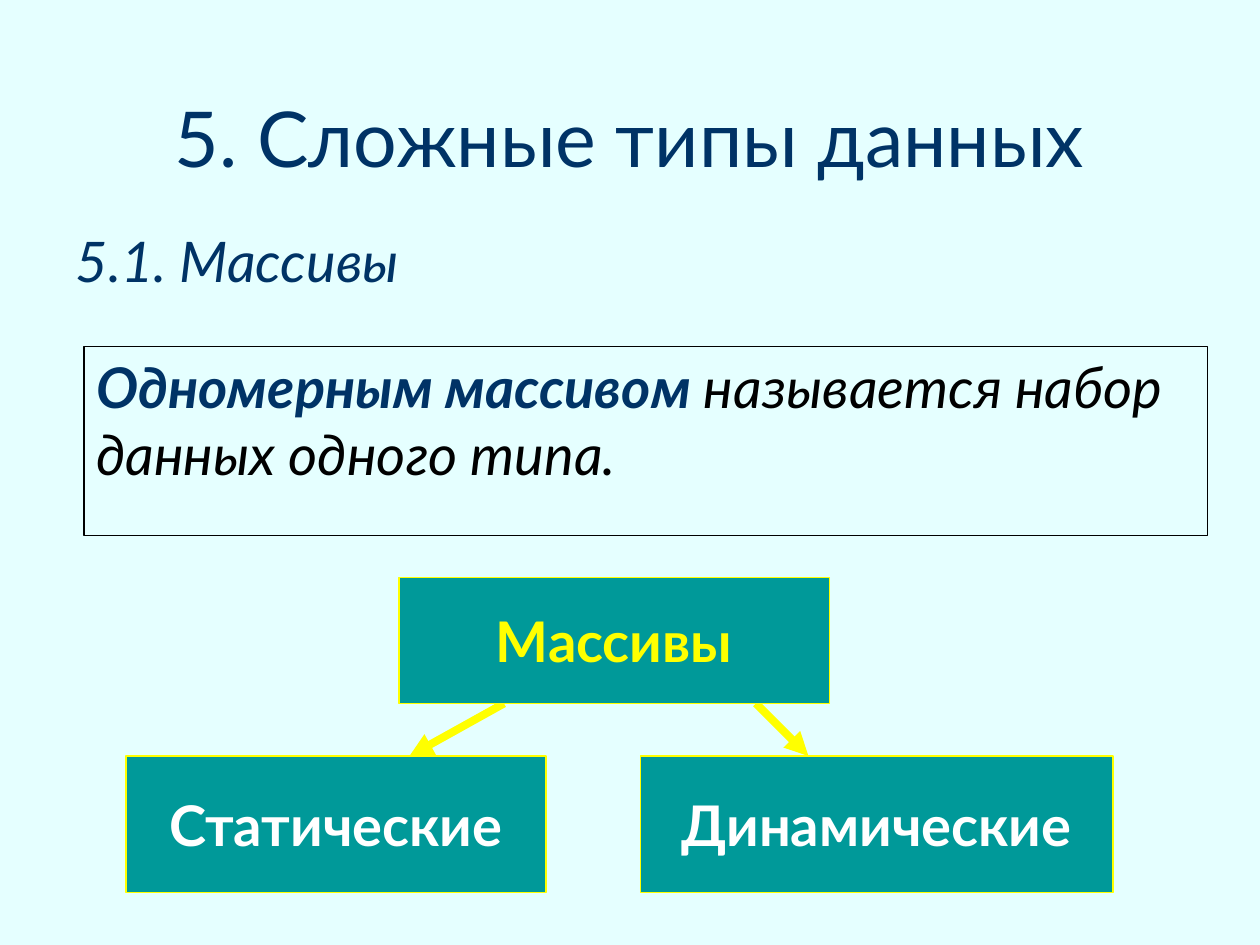
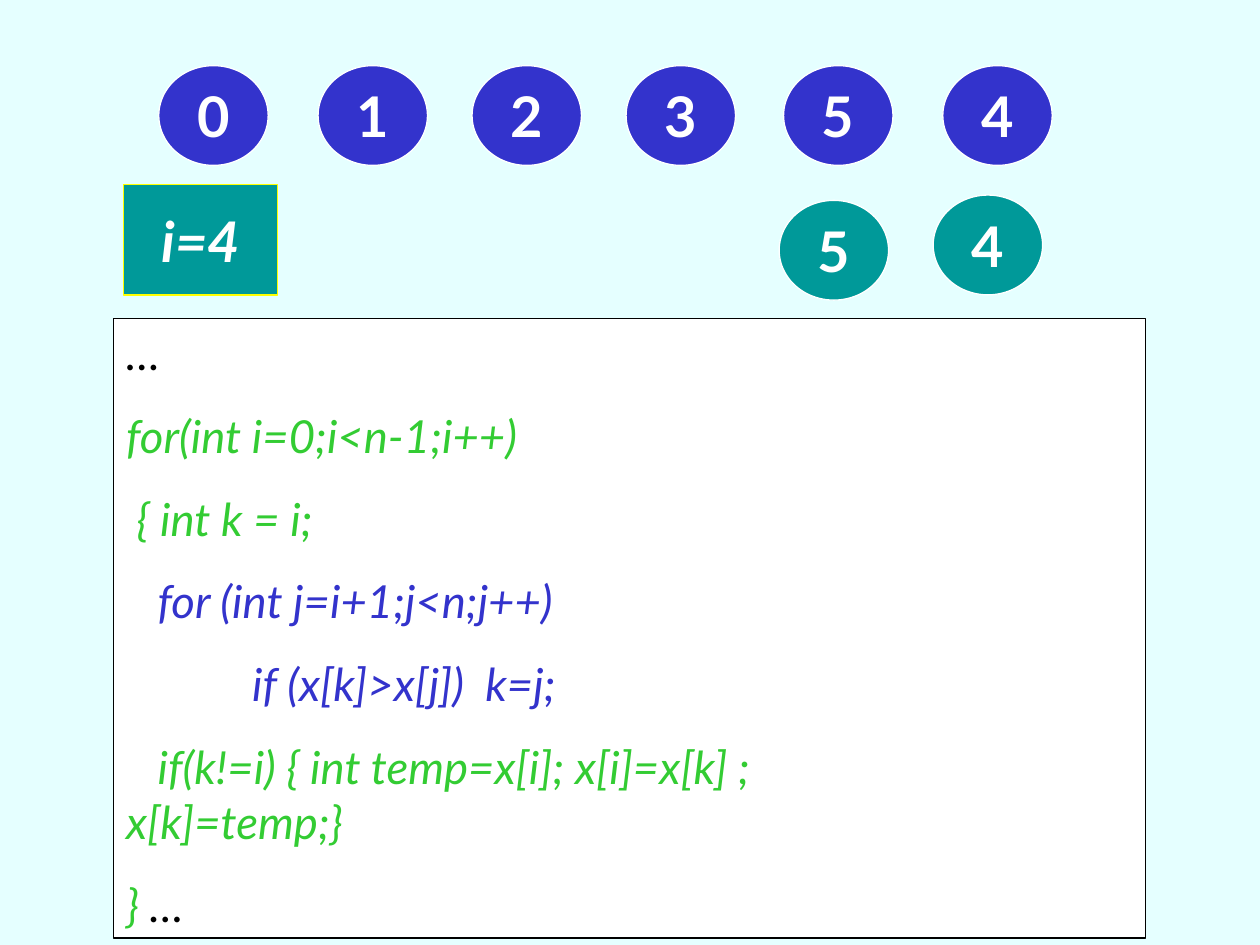
from lxml.etree import SubElement
from pptx import Presentation
from pptx.dml.color import RGBColor
from pptx.enum.shapes import MSO_CONNECTOR as Connector, MSO_SHAPE as Preset
from pptx.enum.text import MSO_ANCHOR as Anchor, MSO_AUTO_SIZE as AutoSize, PP_ALIGN as Align
from pptx.oxml.ns import qn
from pptx.util import Pt

FONT = "Lato"
PALE, NAVY, TEAL, BLUE = "E5FFFF", "003366", "009999", "3333CC"
YELLOW, GREEN, WHITE, BLACK = "FFFF00", "33CC33", "FFFFFF", "000000"


def set_color(target, color):
    """Give a font, line or fill colour from a hex string."""
    target.rgb = RGBColor.from_string(color)


def set_fill(fill, color):
    """Make a fill solid, or empty when no colour is given."""
    if color is None:
        fill.background()
    else:
        fill.solid()
        set_color(fill.fore_color, color)


def place(shape, box):
    """Move a shape to a box of left, top, width and height."""
    for name, value in zip(("left", "top", "width", "height"), box):
        setattr(shape, name, Pt(value))


def write_line(para, spans, size, before=8, align=Align.LEFT, **style):
    """Write (text, colour, extra format) spans into one paragraph."""
    para.alignment, para.space_before = align, Pt(before)
    for text, color, extra in spans:
        span = para.add_run()
        span.text = text
        formats = {"name": FONT, "size": Pt(size), **style, **extra}
        for name, value in formats.items():
            setattr(span.font, name, value)
        set_color(span.font.color, color)


def set_frame(frame, anchor, wrap):
    """Set the anchor, wrapping and fixed size of a text frame."""
    formats = {"vertical_anchor": anchor, "word_wrap": wrap, "auto_size": AutoSize.NONE}
    for name, value in formats.items():
        setattr(frame, name, value)


def add_panel(page, box, fill, line, preset=Preset.RECTANGLE, anchor=Anchor.TOP, wrap=True):
    """Add an outlined shape and return its text frame."""
    shape = page.shapes.add_shape(preset, *map(Pt, box))
    shape.shadow.inherit = False
    set_fill(shape.fill, fill)
    set_color(shape.line.color, line)
    shape.line.width = Pt(0.75)
    set_frame(shape.text_frame, anchor, wrap)
    return shape.text_frame


def add_label(page, box, text, fill=TEAL, line=YELLOW, color=WHITE,
              preset=Preset.RECTANGLE, italic=False):
    """Add a shape with one bold centred label."""
    frame = add_panel(page, box, fill, line, preset, Anchor.MIDDLE, False)
    write_line(frame.paragraphs[0], [(text, color, {})], 32,
               align=Align.CENTER, bold=True, italic=italic)


def add_arrow(page, start, end):
    """Add a thick yellow arrow."""
    arrow = page.shapes.add_connector(Connector.STRAIGHT, *map(Pt, start + end))
    set_color(arrow.line.color, YELLOW)
    arrow.line.width = Pt(4.5)
    SubElement(arrow.line._get_or_add_ln(), qn("a:tailEnd"), type="triangle")
    SubElement(arrow._element.spPr, qn("a:effectLst"))


def add_headings(page, box):
    """Fill the title and the subtitle below it."""
    left, top, width, height = box
    title, body = page.placeholders
    place(title, (left, top, width, 96))
    place(body, (left, top + 96, width, height - 96))
    set_frame(title.text_frame, Anchor.MIDDLE, True)
    set_frame(body.text_frame, Anchor.TOP, True)
    write_line(title.text_frame.paragraphs[0], [("5. Сложные типы данных", NAVY, {})],
               44, before=0, align=Align.CENTER)
    para = body.text_frame.paragraphs[0]
    write_line(para, [("5.1. Массивы", NAVY, {})], 32, italic=True)
    properties = para._p.get_or_add_pPr()
    for name in ("marL", "indent"):
        properties.set(name, "0")
    SubElement(properties, qn("a:buNone"))


def add_definition(page, box):
    """Add the framed definition of an array."""
    frame = add_panel(page, box, None, BLACK)
    write_line(frame.paragraphs[0], [
        ("Одномерным массивом ", NAVY, {"bold": True}),
        ("называется набор данных одного типа.", BLACK, {}),
    ], 32, italic=True)


def add_array_tree(page, box):
    """Add the root box, two arrows and two kinds of array."""
    left, top, width, height = box
    root_bottom, child_top = top + 72, top + 102
    child_height = height - 102
    add_arrow(page, (left + 360, root_bottom), (left + 390, child_top))
    add_arrow(page, (left + 216, root_bottom), (left + 162, child_top))
    add_label(page, (left + 156, top, 246, 72), "Массивы", color=YELLOW)
    add_label(page, (left, child_top, 240, child_height), "Статические")
    add_label(page, (left + width - 270, child_top, 270, child_height), "Динамические")


def add_sort_step(page, box):
    """Add the row of numbers, the step label and the swapped pair."""
    left, top, width, height = box
    balls = [(number, x, 0, BLUE) for number, x in zip("012354", (20, 111, 199, 287, 377, 468))]
    balls += [("5", 374.5, 77, TEAL), ("4", 462.5, 74, TEAL)]
    for number, x, y, fill in balls:
        add_label(page, (left + x, top + y, 62.5, 57), number, fill, WHITE, preset=Preset.OVAL)
    add_label(page, (left, top + 68, 88, 63), "i=4", italic=True)


def add_code(page, box):
    """Add the white panel with the selection sort."""
    lines = [
        (0, [("…", BLACK)]),
        (0, [("for(int i=0;i<n-1;i++)", GREEN)]),
        (6, [("{ int k = i;", GREEN)]),
        (18, [("for (int j=i+1;j<n;j++)", BLUE)]),
        (72, [("if (x[k]>x[j])  k=j;", BLUE)]),
        (18, [("if(k!=i) { int temp=x[i]; x[i]=x[k] ;", GREEN)]),
        (0, [("x[k]=temp;}", GREEN)]),
        (0, [("} ", GREEN), ("…", BLACK)]),
    ]
    frame = add_panel(page, box, WHITE, BLACK)
    for index, (indent, spans) in enumerate(lines):
        para = frame.add_paragraph() if index else frame.paragraphs[0]
        before = 0 if spans[0][0].startswith("x[k]") else 16.2
        write_line(para, [(*span, {}) for span in spans], 26, before=before, italic=True)
        para._p.get_or_add_pPr().set("indent", str(Pt(indent)))


def build_arrays_page(deck):
    """Build the slide that introduces arrays."""
    page = deck.slides.add_slide(deck.slide_layouts[1])
    add_headings(page, (36, 30, 648, 162))
    add_definition(page, (48, 198, 642, 108))
    add_array_tree(page, (72, 330, 564, 180))


def build_sort_page(deck):
    """Build the slide with a step of the selection sort."""
    page = deck.slides.add_slide(deck.slide_layouts[6])
    add_sort_step(page, (70.75, 37.5, 531, 134))
    add_code(page, (65, 182, 589.5, 354))


def main():
    """Build and save the deck."""
    deck = Presentation()
    deck.slide_width, deck.slide_height = Pt(720), Pt(540)
    set_fill(deck.slide_master.background.fill, PALE)
    build_arrays_page(deck)
    build_sort_page(deck)
    deck.save("out.pptx")


if __name__ == "__main__":
    main()
